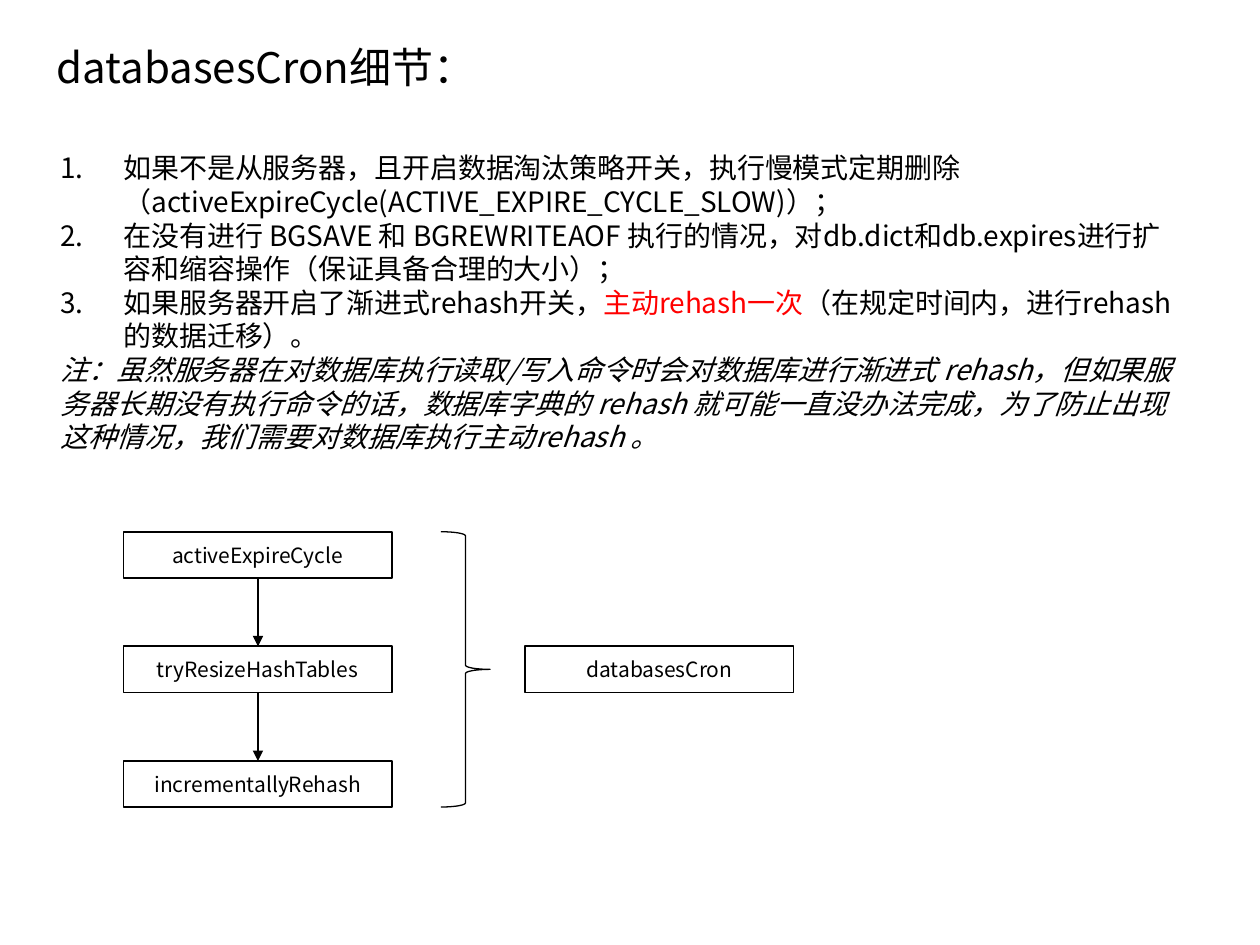
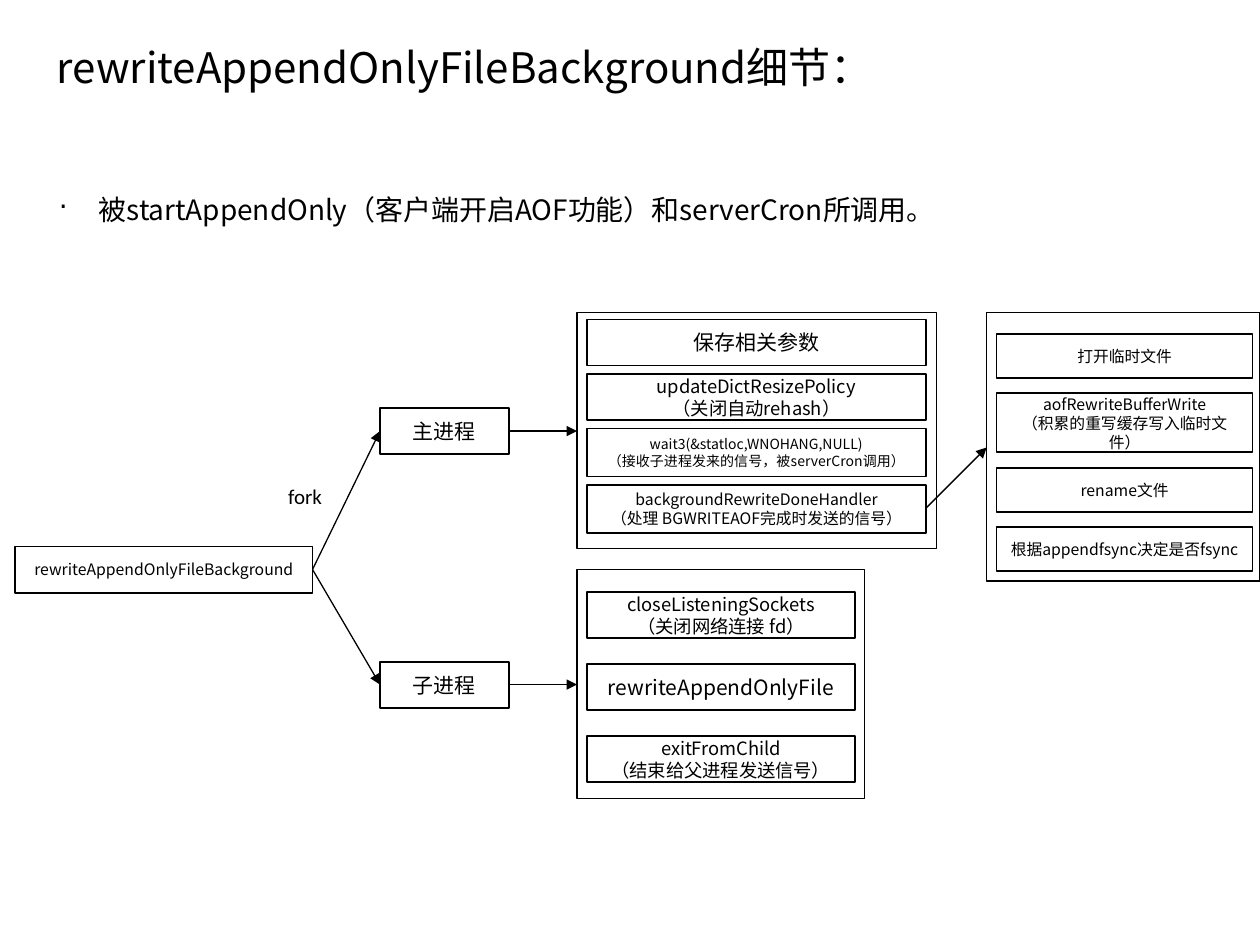
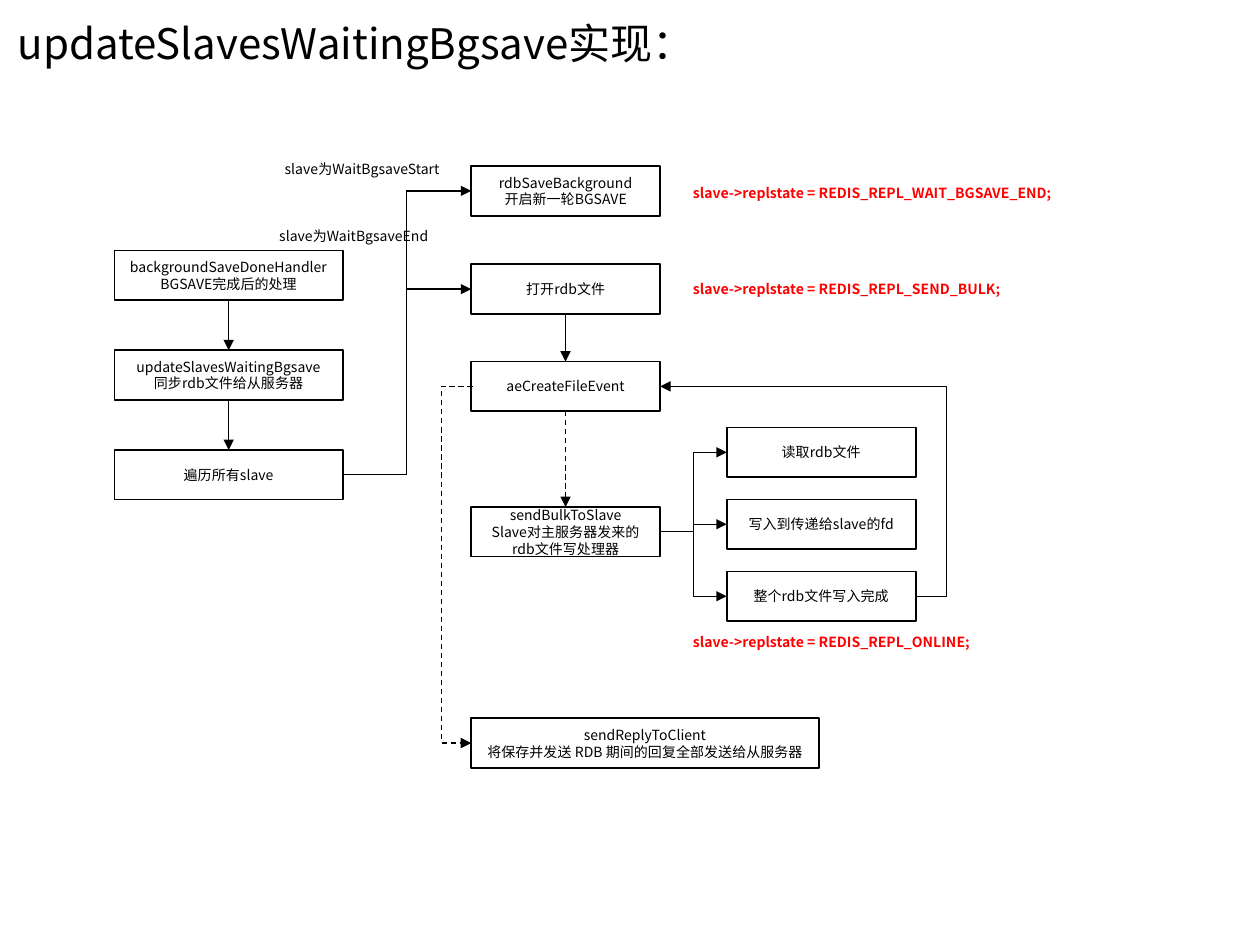
from lxml.etree import SubElement
from pptx import Presentation
from pptx.dml.color import RGBColor
from pptx.enum.dml import MSO_LINE
from pptx.enum.shapes import MSO_CONNECTOR, MSO_SHAPE
from pptx.enum.text import MSO_ANCHOR, MSO_AUTO_SIZE, PP_ALIGN
from pptx.oxml.ns import qn
from pptx.util import Cm, Pt

FONT = "Noto Sans CJK SC"
INK, WHITE, RED = "000000", "FFFFFF", "FF0000"
hue = RGBColor.from_string


def put(shape, text, size, font=FONT, color=INK, edge=None, fill=None,
        align=PP_ALIGN.LEFT, anchor=MSO_ANCHOR.TOP, bold=False):
    """Fill a shape with text and style both."""
    if edge:
        shape.shadow.inherit = False
        shape.line.color.rgb = hue(edge)
        shape.line.width = Pt(1)
        if fill:
            shape.fill.solid()
            shape.fill.fore_color.rgb = hue(fill)
        else:
            shape.fill.background()
    frame = shape.text_frame
    frame.text = text
    frame.word_wrap = True
    frame.auto_size = MSO_AUTO_SIZE.NONE
    frame.vertical_anchor = anchor
    for par in frame.paragraphs:
        par.alignment = align
        par.font.size = Pt(size)
        par.font.bold = bold
        par.font.color.rgb = hue(color)
        par.font.name = font
        SubElement(par._p.pPr.find(qn("a:defRPr")), qn("a:ea"), typeface=font)
    return shape


def link(slide, x1, y1, x2, y2, via=None, dash=False):
    """Draw an arrow, straight or bent at the column x = via."""
    kind = MSO_CONNECTOR.ELBOW if via else MSO_CONNECTOR.STRAIGHT
    arrow = slide.shapes.add_connector(kind, Cm(x1), Cm(y1), Cm(x2), Cm(y2))
    arrow.line.color.rgb = hue(INK)
    arrow.line.width = Pt(0.75)
    if dash:
        arrow.line.dash_style = MSO_LINE.DASH
    props = arrow._element.spPr
    SubElement(props.find(qn("a:ln")), qn("a:tailEnd"), type="triangle")
    SubElement(props, qn("a:effectLst"))
    if via:
        bend = round((via - x1) / (x2 - x1) * 100000)
        guides = props.find(qn("a:prstGeom")).find(qn("a:avLst"))
        SubElement(guides, qn("a:gd"), name="adj1", fmla=f"val {bend}")


deck = Presentation()
deck.slide_width, deck.slide_height = Cm(25.4), Cm(19.05)
node = dict(edge=INK, fill=WHITE, align=PP_ALIGN.CENTER, anchor=MSO_ANCHOR.MIDDLE)
RECT = MSO_SHAPE.RECTANGLE

# Slides and titles
slides = []
for text, x, y in [
    ("databasesCron细节：", 0.89, 0.71),
    ("rewriteAppendOnlyFileBackground细节：", 0.89, 0.71),
    ("updateSlavesWaitingBgsave实现：", 0.1, 0.23),
]:
    slide = deck.slides.add_slide(deck.slide_layouts[5])
    title = slide.shapes.title
    title.left, title.top, title.width, title.height = Cm(x), Cm(y), Cm(20.3), Cm(1.27)
    put(title, text, 24)
    slides.append(slide)
cron, aof, sync = slides

# Cron: numbered steps and a note
steps = put(
    cron.shapes.add_shape(RECT, Cm(0.97), Cm(2.92), Cm(23.19), Cm(6.4)),
    "如果不是从服务器，且开启数据淘汰策略开关，执行慢模式定期删除（activeExpireCycle(ACTIVE_EXPIRE_CYCLE_SLOW)）；\n"
    "在没有进行 BGSAVE 和 BGREWRITEAOF 执行的情况，对db.dict和db.expires进行扩容和缩容操作（保证具备合理的大小）；\n"
    "如果服务器开启了渐进式rehash开关，\n"
    "注：虽然服务器在对数据库执行读取/写入命令时会对数据库进行渐进式 rehash，但如果服务器长期没有执行命令的话，"
    "数据库字典的 rehash 就可能一直没办法完成，为了防止出现这种情况，我们需要对数据库执行主动rehash 。",
    16, edge=WHITE)
*items, note = steps.text_frame.paragraphs
for item in items:
    props = item._p.pPr
    props.set("marL", str(Cm(1.27)))
    props.set("indent", str(-Cm(1.27)))
    mark = SubElement(props, qn("a:buAutoNum"), type="arabicPeriod")
    props.insert(0, mark)
run = items[-1].add_run()
run.text = "主动rehash一次"
run.font.color.rgb = hue(RED)
items[-1].add_run().text = "（在规定时间内，进行rehash的数据迁移）。"
note.font.italic = True

# Cron: call chain
top, step, high = 10.72, 2.31, 0.93
for i, text in enumerate(["activeExpireCycle", "tryResizeHashTables", "incrementallyRehash"]):
    y = top + i * step
    put(cron.shapes.add_shape(RECT, Cm(2.49), Cm(y), Cm(5.41), Cm(high)), text, 12, **node)
    if i:
        link(cron, 5.2, y - step + high, 5.2, y)
brace = cron.shapes.add_shape(MSO_SHAPE.RIGHT_BRACE, Cm(8.89), Cm(top), Cm(0.99), Cm(5.55))
brace.shadow.inherit = False
brace.fill.background()
brace.line.color.rgb = hue(INK)
brace.line.width = Pt(0.75)
put(cron.shapes.add_shape(RECT, Cm(10.59), Cm(top + step), Cm(5.41), Cm(high)),
    "databasesCron", 12, **node)

# AOF: callers
lead = put(aof.shapes.add_shape(RECT, Cm(0.94), Cm(3.76), Cm(23.19), Cm(0.94)),
           "被startAppendOnly（客户端开启AOF功能）和serverCron所调用。", 16, edge=WHITE)
props = lead.text_frame.paragraphs[0]._p.pPr
props.set("marL", str(Cm(0.8)))
props.set("indent", str(-Cm(0.8)))
mark = SubElement(props, qn("a:buChar"), char="·")
props.insert(0, mark)

# AOF: fork into two processes
put(aof.shapes.add_shape(RECT, Cm(0.3), Cm(11.02), Cm(6), Cm(0.93)),
    "rewriteAppendOnlyFileBackground", 9, **node)
for text, mid in [("主进程", 8.69), ("子进程", 13.8)]:
    put(aof.shapes.add_shape(RECT, Cm(7.66), Cm(mid - 0.46), Cm(2.6), Cm(0.93)),
        text, 12, **node)
    link(aof, 6.3, 11.48, 7.66, mid)
    link(aof, 10.26, mid, 11.63, mid)
put(aof.shapes.add_textbox(Cm(5.56), Cm(9.63), Cm(1.47), Cm(0.76)), "fork", 12, font="Calibri")

# AOF: panels of stacked steps (frame, first row, gap, rows)
panels = [
    ((11.63, 11.48, 5.8, 4.62), (11.83, 11.94, 5.41), 0.52, [
        (0.93, 10.5, "closeListeningSockets\n（关闭网络连接 fd）"),
        (0.93, 12, "rewriteAppendOnlyFile"),
        (0.93, 10.5, "exitFromChild\n（结束给父进程发送信号）"),
    ]),
    ((11.63, 6.3, 7.25, 4.76), (11.83, 6.44, 6.84), 0.17, [
        (0.93, 12, "保存相关参数"),
        (0.93, 10.5, "updateDictResizePolicy\n（关闭自动rehash）"),
        (0.97, 8, "wait3(&statloc,WNOHANG,NULL)\n（接收子进程发来的信号，被serverCron调用）"),
        (0.97, 9, "backgroundRewriteDoneHandler\n（处理 BGWRITEAOF完成时发送的信号）"),
    ]),
    ((19.89, 6.3, 5.51, 5.41), (20.09, 6.73, 5.16), 0.31, [
        (0.89, 9, "打开临时文件"),
        (1.19, 9, "aofRewriteBufferWrite\n（积累的重写缓存写入临时文件）"),
        (0.89, 9, "rename文件"),
        (0.89, 9, "根据appendfsync决定是否fsync"),
    ]),
]
for frame, (x, y, wide), gap, rows in panels:
    put(aof.shapes.add_shape(RECT, *map(Cm, frame)), "", 12, **node)
    for high, size, text in rows:
        put(aof.shapes.add_shape(RECT, Cm(x), Cm(y), Cm(wide), Cm(high)), text, size, **node)
        y += high + gap
link(aof, 18.67, 10.24, 19.89, 9.02)

# Sync: boxes
for x, y, wide, text in [
    (2.31, 5.05, 4.6, "backgroundSaveDoneHandler\nBGSAVE完成后的处理"),
    (2.31, 7.06, 4.6, "updateSlavesWaitingBgsave\n同步rdb文件给从服务器"),
    (2.31, 9.07, 4.6, "遍历所有slave"),
    (9.5, 3.35, 3.81, "rdbSaveBackground\n开启新一轮BGSAVE"),
    (9.5, 5.33, 3.81, "打开rdb文件"),
    (9.5, 7.29, 3.81, "aeCreateFileEvent"),
    (9.5, 10.22, 3.81, "sendBulkToSlave\nSlave对主服务器发来的rdb文件写处理器"),
    (14.65, 8.62, 3.81, "读取rdb文件"),
    (14.65, 10.07, 3.81, "写入到传递给slave的fd"),
    (14.65, 11.52, 3.81, "整个rdb文件写入完成"),
    (9.5, 14.48, 7.01, "sendReplyToClient\n将保存并发送 RDB 期间的回复全部发送给从服务器"),
]:
    put(sync.shapes.add_shape(RECT, Cm(x), Cm(y), Cm(wide), Cm(1)), text, 8, **node)

# Sync: labels and states
for x, y, color, text in [
    (5.49, 3.12, INK, "slave为WaitBgsaveStart"),
    (5.38, 4.47, INK, "slave为WaitBgsaveEnd"),
    (13.72, 3.6, RED, "slave->replstate = REDIS_REPL_WAIT_BGSAVE_END;"),
    (13.72, 5.54, RED, "slave->replstate = REDIS_REPL_SEND_BULK;"),
    (13.72, 12.65, RED, "slave->replstate = REDIS_REPL_ONLINE;"),
]:
    put(sync.shapes.add_textbox(Cm(x), Cm(y), Cm(8), Cm(0.6)), text, 8,
        color=color, bold=color == RED)

# Sync: arrows
for y in (6.05, 8.06):
    link(sync, 4.61, y, 4.61, y + 1.01)
for y in (3.85, 5.83):
    link(sync, 6.91, 9.57, 9.5, y, via=8.2)
for y in (9.12, 10.57, 12.02):
    link(sync, 13.31, 10.72, 14.65, y, via=13.98)
link(sync, 11.4, 6.33, 11.4, 7.29)
link(sync, 11.4, 8.29, 11.4, 10.22, dash=True)
link(sync, 18.46, 12.02, 13.31, 7.79, via=19.08)
link(sync, 9.53, 7.79, 9.5, 14.98, via=8.9, dash=True)

deck.save("out.pptx")
